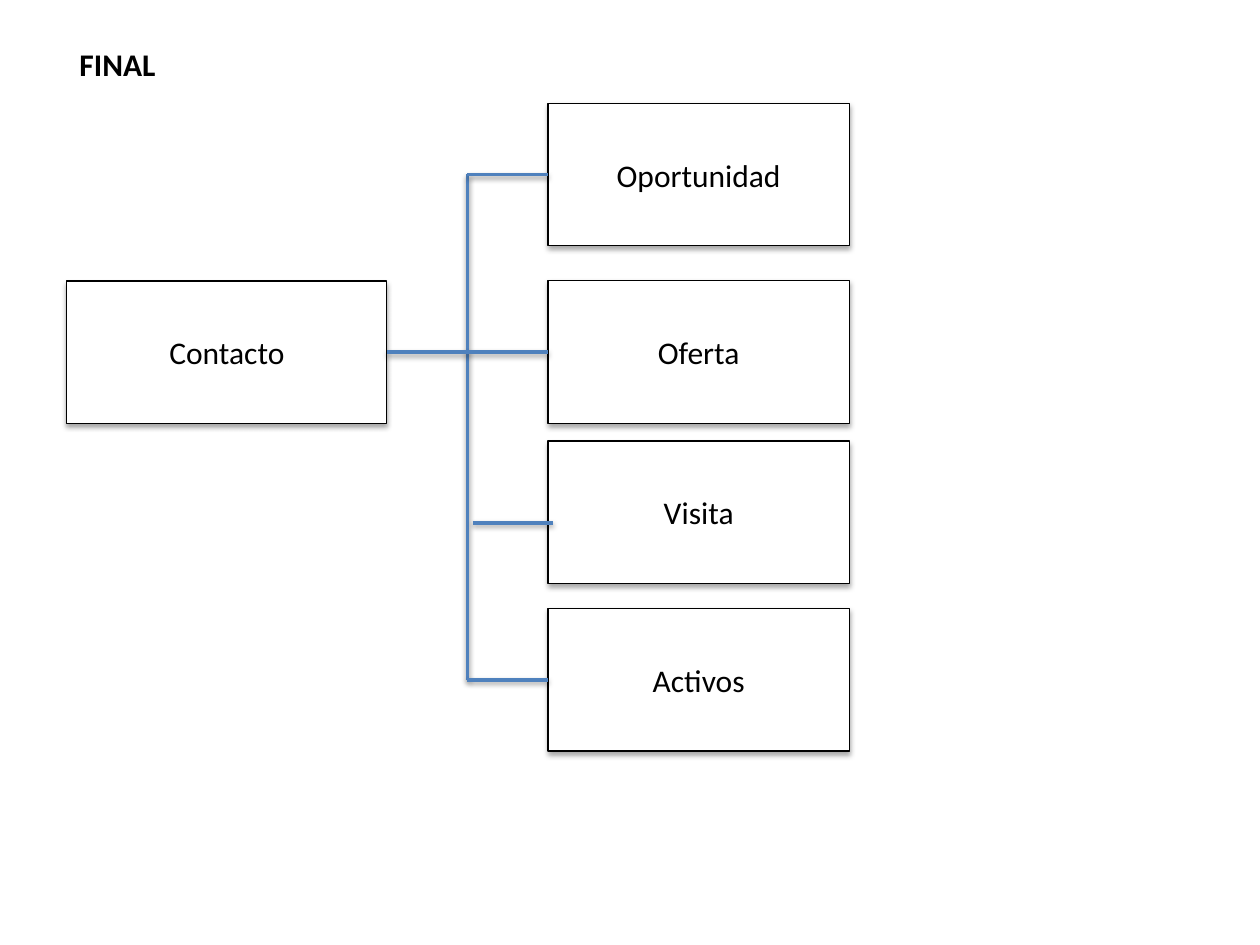
from lxml.etree import SubElement
from pptx import Presentation
from pptx.dml.color import RGBColor
from pptx.enum.shapes import MSO_CONNECTOR as Connector, MSO_SHAPE as Shape
from pptx.enum.text import MSO_ANCHOR as Anchor, PP_ALIGN as Align
from pptx.oxml.ns import qn
from pptx.util import Pt

COLORS = {"paper": "FFFFFF", "ink": "000000", "link": "4F81BD"}
FONT = "Calibri"
LEFT_SIDE, RIGHT_SIDE = 1, 3

BOX_HEIGHT = 81.4
CONTACT_LEFT, CONTACT_TOP, CONTACT_WIDTH = 38.2, 160.6, 182.9
BRANCH_LEFT, BRANCH_WIDTH = 313.2, 172.1
BRANCH_TOPS = {"Oportunidad": 59, "Oferta": 160.5, "Visita": 252, "Activos": 347.8}
TRUNK_X = 267.1


def color(name):
    return RGBColor.from_string(COLORS[name])


def add_shadow(properties, opacity, distance):
    """Put a soft downward shadow on a shape or connector."""
    effects = properties.find(qn("a:effectLst"))
    if effects is None:
        effects = SubElement(properties, qn("a:effectLst"))
    shadow = SubElement(effects, qn("a:outerShdw"), blurRad=str(Pt(3.1)),
                        dist=str(Pt(distance)), dir="5400000", rotWithShape="0")
    tone = SubElement(shadow, qn("a:srgbClr"), val=COLORS["ink"])
    SubElement(tone, qn("a:alpha"), val=str(opacity * 1000))


def write_text(shape, text, align, bold=False):
    frame = shape.text_frame
    frame.text = text
    frame.word_wrap = True
    frame.vertical_anchor = Anchor.MIDDLE
    para = frame.paragraphs[0]
    para.alignment = align
    font = para.runs[0].font
    font.name, font.size, font.bold = FONT, Pt(18), bold
    font.color.rgb = color("ink")


def add_title(page, text):
    title = page.shapes.title
    title.left, title.top, title.width, title.height = Pt(38.2), Pt(22.3), Pt(190.8), Pt(29)
    write_text(title, text, Align.LEFT, bold=True)


def add_box(page, text, left, top, width):
    box = page.shapes.add_shape(Shape.RECTANGLE, Pt(left), Pt(top), Pt(width), Pt(BOX_HEIGHT))
    box.fill.solid()
    box.fill.fore_color.rgb = color("paper")
    box.line.color.rgb = color("ink")
    box.line.width = Pt(0.75)
    box.shadow.inherit = False
    add_shadow(box._element.spPr, 35, 1.8)
    write_text(box, text, Align.CENTER)
    return box


def add_link(page, kind, x1, y1, x2, y2):
    link = page.shapes.add_connector(kind, Pt(x1), Pt(y1), Pt(x2), Pt(y2))
    link.line.color.rgb = color("link")
    link.line.width = Pt(2)
    add_shadow(link._element.spPr, 38, 1.6)
    return link


def main():
    deck = Presentation()
    deck.slide_width, deck.slide_height = Pt(720), Pt(540)
    page = deck.slides.add_slide(deck.slide_layouts[5])
    add_title(page, "FINAL")

    # Boxes
    contact = add_box(page, "Contacto", CONTACT_LEFT, CONTACT_TOP, CONTACT_WIDTH)
    branches = {name: add_box(page, name, BRANCH_LEFT, top, BRANCH_WIDTH)
                for name, top in BRANCH_TOPS.items()}
    middles = {name: top + BOX_HEIGHT / 2 for name, top in BRANCH_TOPS.items()}

    # Trunk and its outer branches
    add_link(page, Connector.STRAIGHT, TRUNK_X, middles["Oportunidad"],
             TRUNK_X, middles["Activos"])
    for name in ("Oportunidad", "Activos"):
        link = add_link(page, Connector.STRAIGHT, TRUNK_X, middles[name],
                        BRANCH_LEFT, middles[name])
        link.end_connect(branches[name], LEFT_SIDE)

    # Contact runs through the trunk to the offer
    link = add_link(page, Connector.ELBOW, CONTACT_LEFT + CONTACT_WIDTH, middles["Oferta"],
                    BRANCH_LEFT, middles["Oferta"])
    link.begin_connect(contact, RIGHT_SIDE)
    link.end_connect(branches["Oferta"], LEFT_SIDE)

    # The visit branch is loose, a little below the middle of its box
    add_link(page, Connector.STRAIGHT, 270, 298.8, 316.1, 298.8)

    deck.save("out.pptx")


if __name__ == "__main__":
    main()
